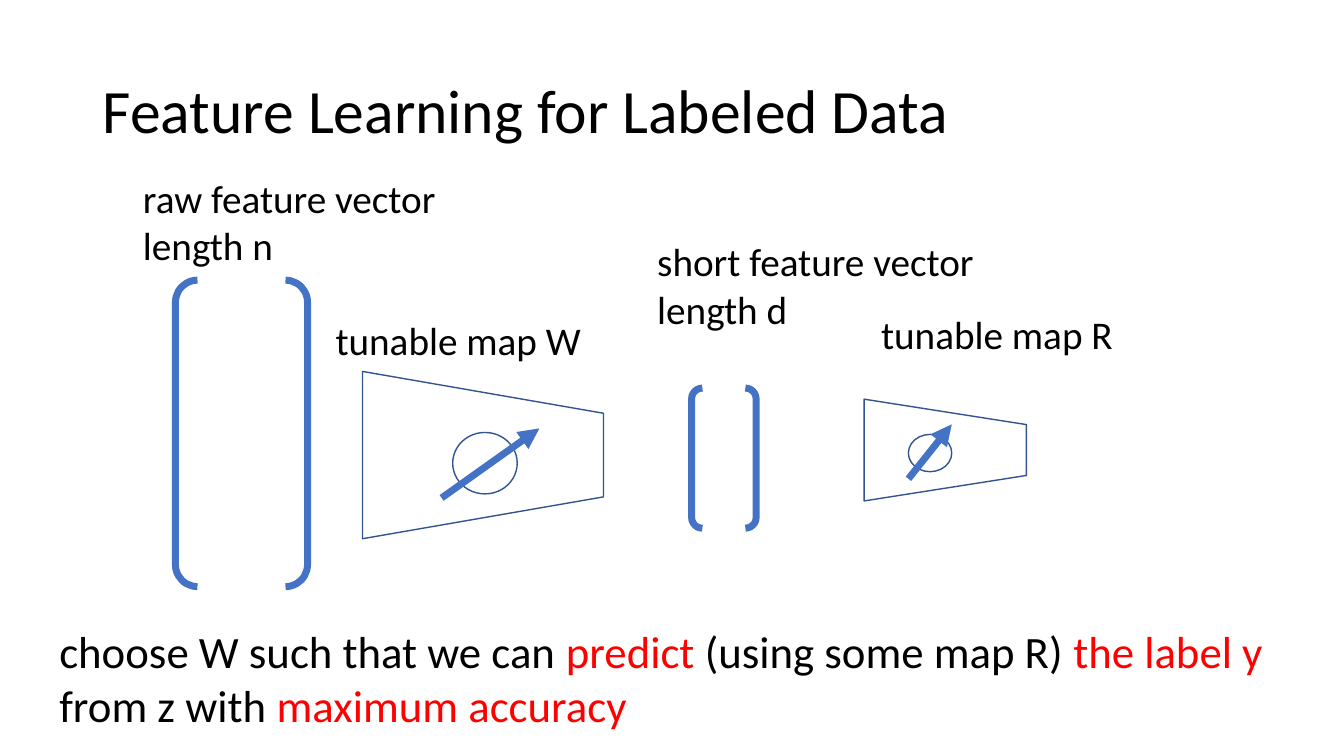
import pptx
import pptx.dml.color
import pptx.enum.shapes
import pptx.enum.text
import pptx.oxml
import pptx.oxml.ns
import pptx.util

PX = 9144
BLACK = pptx.dml.color.RGBColor(0x00, 0x00, 0x00)
RED = pptx.dml.color.RGBColor(0xFF, 0x00, 0x00)
BLUE = pptx.dml.color.RGBColor(0x44, 0x72, 0xC4)
DARK_BLUE = pptx.dml.color.RGBColor(0x32, 0x54, 0x91)
FONT = "Calibri"
SHAPES = pptx.enum.shapes.MSO_SHAPE


def px(*lengths):
    return [pptx.util.Emu(length * PX) for length in lengths]


def write(frame, text, size=28, color=BLACK, accent=RED, spacing=None):
    for index, line in enumerate(text.split("\n")):
        paragraph = frame.paragraphs[0] if index == 0 else frame.add_paragraph()
        paragraph.alignment = pptx.enum.text.PP_ALIGN.LEFT
        if spacing:
            paragraph.line_spacing = spacing
        for part, words in enumerate(line.split("*")):
            if words:
                run = paragraph.add_run()
                run.text = words
                run.font.name = FONT
                run.font.size = pptx.util.Pt(size)
                run.font.color.rgb = accent if part % 2 else color


def add_title(slide, text, box):
    title = slide.shapes.title
    title.left, title.top, title.width, title.height = px(*box)
    title.text_frame.vertical_anchor = pptx.enum.text.MSO_ANCHOR.MIDDLE
    write(title.text_frame, text, size=44, spacing=0.9)


def add_label(slide, text, box, wrap=True, **style):
    frame = slide.shapes.add_textbox(*px(*box)).text_frame
    frame.word_wrap = wrap
    frame.auto_size = pptx.enum.text.MSO_AUTO_SIZE.SHAPE_TO_FIT_TEXT
    write(frame, text, **style)


def add_outline(slide, kind, box, color=DARK_BLUE, weight=1, rotation=0):
    outline = slide.shapes.add_shape(kind, *px(*box))
    outline.shadow.inherit = False
    outline.fill.background()
    outline.line.color.rgb = color
    outline.line.width = pptx.util.Pt(weight)
    outline.rotation = rotation


def add_vector(slide, box):
    add_outline(slide, SHAPES.DOUBLE_BRACKET, box, color=BLUE, weight=5)


def add_arrow(slide, start, end):
    arrow = slide.shapes.add_connector(
        pptx.enum.shapes.MSO_CONNECTOR.STRAIGHT, *px(*start, *end))
    arrow.line.color.rgb = BLUE
    arrow.line.width = pptx.util.Pt(5)
    line = arrow.line._get_or_add_ln()
    head = pptx.oxml.parse_xml(
        f'<a:tailEnd {pptx.oxml.ns.nsdecls("a")} type="triangle"/>')
    line.append(head)
    effects = pptx.oxml.parse_xml(
        f'<a:effectLst {pptx.oxml.ns.nsdecls("a")}/>')
    line.addnext(effects)


def add_tunable_map(slide, funnel, dial, start, end):
    add_outline(slide, SHAPES.TRAPEZOID, funnel, rotation=90)
    add_outline(slide, SHAPES.OVAL, dial)
    add_arrow(slide, start, end)


def main():
    deck = pptx.Presentation()
    deck.slide_width, deck.slide_height = px(1333, 750)
    slide = deck.slides.add_slide(deck.slide_layouts[5])
    add_title(slide, "Feature Learning for Labeled Data", (92, 40, 1150, 145))

    add_vector(slide, (174, 278, 131, 304))
    add_label(slide, "raw feature vector\nlength n", (132, 168, 334, 94))

    add_tunable_map(slide, (396, 332, 166, 239), (449, 429, 64, 61),
                    (438, 494), (535, 425))
    add_label(slide, "tunable map W", (323, 309, 276, 52))

    add_vector(slide, (686, 385, 64, 139))
    add_label(slide, "short feature vector\nlength d", (642, 231, 359, 94))

    add_tunable_map(slide, (887, 366, 101, 161), (901, 431, 43, 37),
                    (901, 475), (944, 421))
    add_label(slide, "tunable map R", (864, 303, 262, 52))

    add_label(slide,
              "choose W such that we can *predict* (using some map R) "
              "*the label y*\nfrom z with *maximum accuracy*",
              (49, 614, 1236, 118), wrap=False, size=32)
    deck.save("out.pptx")


if __name__ == "__main__":
    main()
